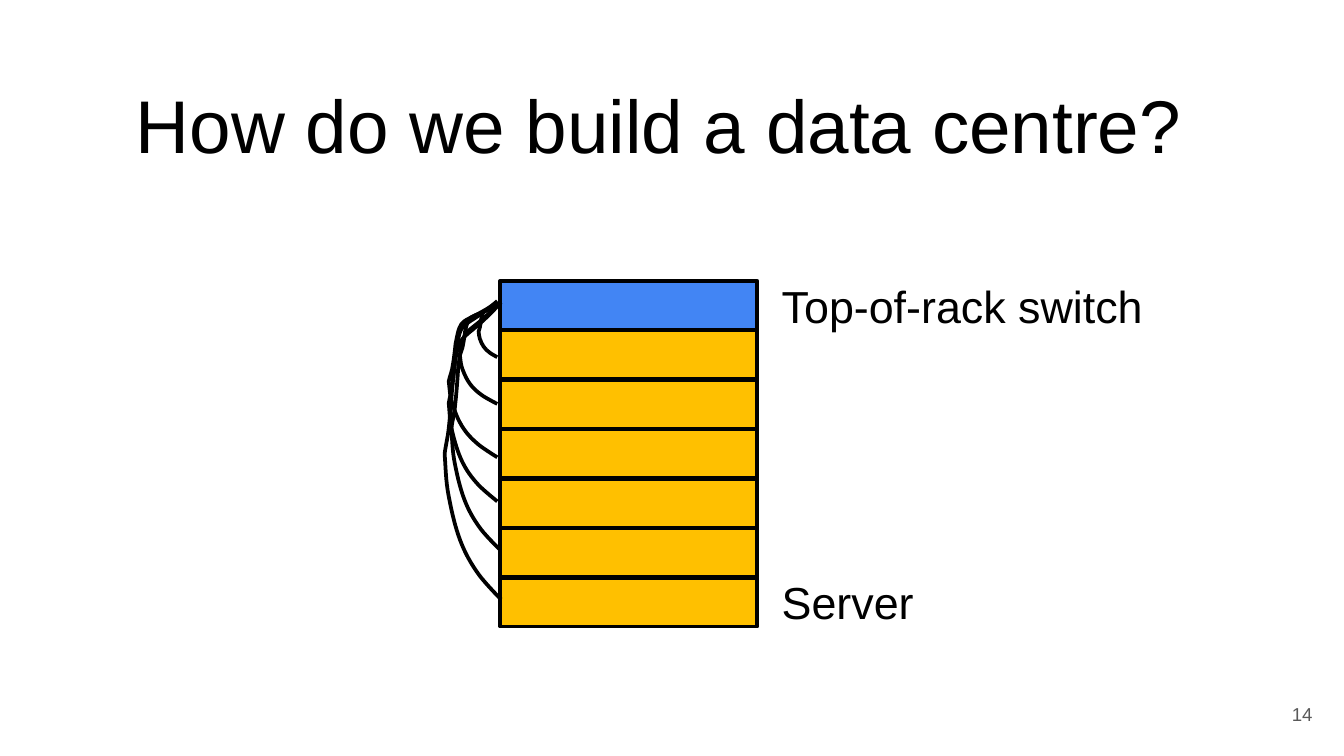
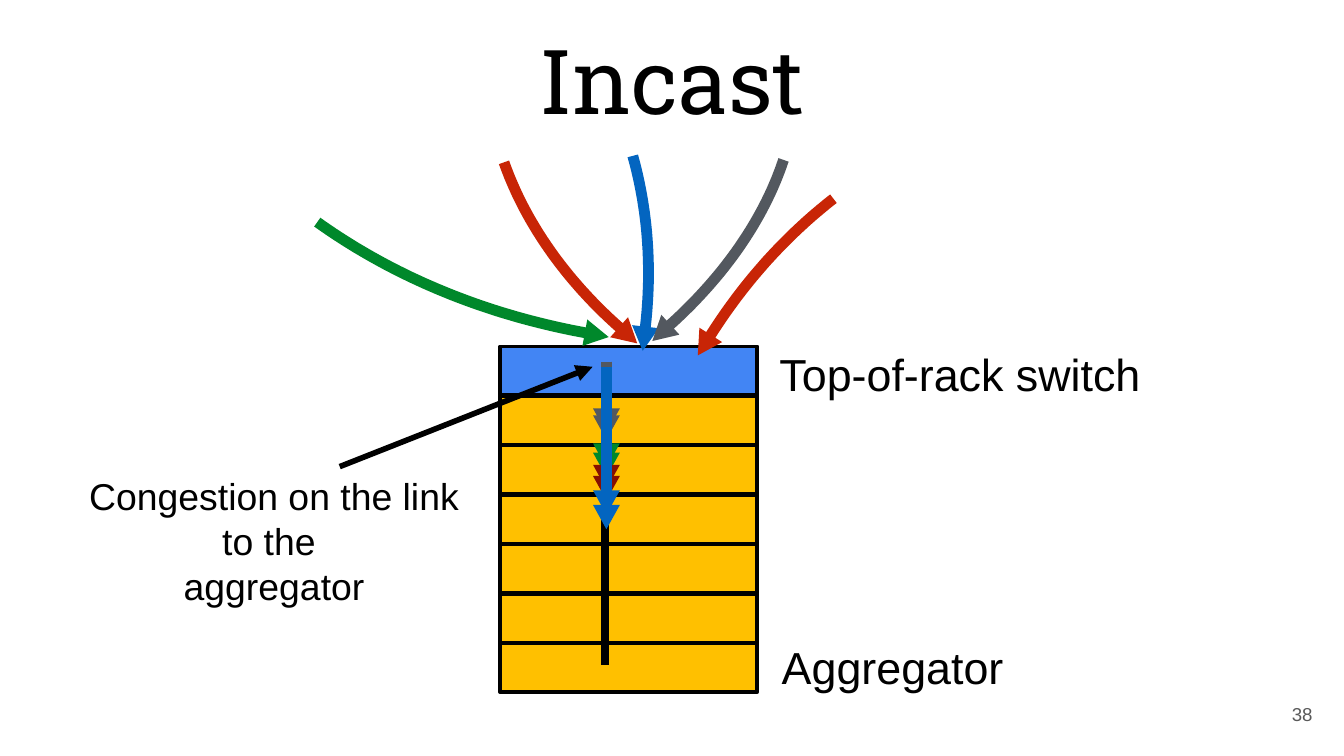
from math import hypot

from lxml import etree
from pptx import Presentation
from pptx.dml.color import RGBColor
from pptx.enum.shapes import MSO_CONNECTOR, MSO_SHAPE
from pptx.enum.text import MSO_ANCHOR, MSO_AUTO_SIZE, PP_ALIGN
from pptx.oxml.ns import qn
from pptx.util import Pt

STRAIGHT = MSO_CONNECTOR.STRAIGHT
RECTANGLE = MSO_SHAPE.RECTANGLE
TOP, MIDDLE = MSO_ANCHOR.TOP, MSO_ANCHOR.MIDDLE
LEFT, CENTER, RIGHT = PP_ALIGN.LEFT, PP_ALIGN.CENTER, PP_ALIGN.RIGHT
NO_AUTOFIT, GROW = MSO_AUTO_SIZE.NONE, MSO_AUTO_SIZE.SHAPE_TO_FIT_TEXT

BLACK, NUMBER_GREY = "000000", "595959"
SWITCH_BLUE, SERVER_YELLOW = "4285F4", "FFC000"
GREEN, RED, DARK_RED, GREY, BLUE = "00882B", "C82506", "861001", "53585F", "0365C0"

SLIDE_SIZE = (720, 405)
TITLE_ONLY = 5
NUMBER_BOX = (667.2, 367, 43, 31)
RACK_LEFT, UNIT_WIDTH, UNIT_HEIGHT, UNIT_PITCH = 268, 137.7, 26.2, 26.5
SERVER_COUNT = 6
FLOW_WIDTH, HEAD_BACK, HEAD_REACH, HEAD_HALF = 5.77, 1.5, 11.5, 7.2
ARC_STEPS = 40

SLIDES = [
    {
        "title": ("How do we build a data centre?", "Arial", 40, (10, 35.2, 685.5, 73.5)),
        "number": "14",
        "rack_top": 150.5,
        "labels": [
            ("Server", (411.7, 304.5, 86, 36), False),
            ("Top-of-rack switch", (411.7, 145.8, 249, 36), True),
        ],
    },
    {
        "title": ("Incast", "Roboto Slab", 48, (25.6, 6.2, 669, 102)),
        "number": "38",
        "rack_top": 185.6,
        "labels": [
            ("Aggregator", (411.7, 339, 135, 36), False),
            ("Top-of-rack switch", (410.5, 182, 249, 36), True),
        ],
    },
]

CABLE_KNOTS = [
    (1, 0),
    (0.24, 0.16), (0.26, 0.07), (0.14, 0.27),
    (0.12, 0.33), (0.1, 0.38), (0.07, 0.43),
    (0.05, 0.46), (0.02, 0.48), (0, 0.51),
    (0.02, 0.56), (0.02, 0.6), (0.07, 0.65),
    (0.19, 0.77), (0.31, 0.84), (0.62, 0.92),
    (0.74, 0.95), (1, 1), (1, 1),
]
CABLES = [
    (266.4, 163.4, 10, 28),
    (266.4, 163.4, 20, 53),
    (266.4, 162, 26, 83),
    (266.4, 161.3, 26, 107.3),
    (267.8, 162, 26, 132.5),
    (268.4, 162, 30.2, 159.1),
]

LINK = ((324, 201), (324, 356.5))
QUEUE_X = 324.9
QUEUED_FLOWS = [
    (GREEN, 224, 244),
    (DARK_RED, 224, 256.5),
    (GREY, 193.7, 224),
    (BLUE, 239, 272),
    (GREEN, 220.3, 239),
    (DARK_RED, 220.3, 250.5),
    (GREY, 193.7, 220.3),
    (BLUE, 196.6, 264.2),
]
INCOMING_FLOWS = [
    (GREEN, (170, 119), (245.5, 137.5), (314.8, 178.5)),
    (RED, (270, 87), (312.3, 126.7), (332.8, 176.3)),
    (BLUE, (339, 83.5), (336.7, 130.3), (345.6, 176.5)),
    (GREY, (419.8, 85.7), (375.8, 123), (358, 175)),
    (RED, (446.5, 106.5), (418.3, 145.5), (380, 180.7)),
]
POINTER = ((182, 250), (317.5, 196.5))
CAPTION_LINES = ["Congestion on the link to the ", "aggregator"]
CAPTION_BOX = (36.4, 250, 221, 80)


def colour(code):
    return RGBColor.from_string(code)


def points(values):
    return [Pt(value) for value in values]


def write(para, lines, font, size, code, align):
    para.alignment = align
    for index, line in enumerate(lines):
        if index:
            para.add_line_break()
        span = para.add_run()
        span.text = line
        span.font.name = font
        span.font.size = Pt(size)
        span.font.color.rgb = colour(code)


def add_text(page, lines, place, size, align=LEFT, wrap=True):
    box = page.shapes.add_textbox(*points(place))
    frame = box.text_frame
    frame.word_wrap = wrap
    frame.auto_size = GROW
    write(frame.paragraphs[0], lines, "Arial", size, BLACK, align)


def add_number(page, text):
    frame = page.shapes.add_textbox(*points(NUMBER_BOX)).text_frame
    frame.word_wrap = True
    frame.vertical_anchor = MIDDLE
    frame.margin_top = frame.margin_bottom = Pt(7.2)
    write(frame.paragraphs[0], [text], "Arial", 10, NUMBER_GREY, RIGHT)


def add_title(page, text, font, size, place):
    box = page.shapes.title
    box.left, box.top, box.width, box.height = points(place)
    frame = box.text_frame
    frame.auto_size = NO_AUTOFIT
    frame.vertical_anchor = TOP
    frame.margin_left = frame.margin_right = Pt(7.2)
    frame.margin_top = frame.margin_bottom = Pt(7.2)
    write(frame.paragraphs[0], [text], font, size, BLACK, CENTER)


def set_line(shape, code, width):
    shape.line.color.rgb = colour(code)
    shape.line.width = Pt(width)


def set_fill(shape, code):
    shape.fill.solid()
    shape.fill.fore_color.rgb = colour(code)


def add_line(page, start, end, code, width, arrow=False):
    line = page.shapes.add_connector(STRAIGHT, *points(start + end))
    set_line(line, code, width)
    properties = line._element.spPr
    if arrow:
        stroke = properties.find(qn("a:ln"))
        etree.SubElement(stroke, qn("a:tailEnd"), type="triangle")
    etree.SubElement(properties, qn("a:effectLst"))


def add_outline(page, corners, close):
    builder = page.shapes.build_freeform(*points(corners[0]))
    builder.add_line_segments([points(corner) for corner in corners[1:]], close=close)
    shape = builder.convert_to_shape()
    shape.shadow.inherit = False
    return shape


def add_curve(page, corners, code, width):
    curve = add_outline(page, corners, False)
    curve.fill.background()
    set_line(curve, code, width)
    return curve


def bend(curve):
    segments = list(curve._element.iter(qn("a:lnTo")))
    for first in range(0, len(segments), 3):
        bezier = etree.Element(qn("a:cubicBezTo"))
        segments[first].addprevious(bezier)
        for segment in segments[first:first + 3]:
            bezier.append(segment[0])
            segment.getparent().remove(segment)


def add_head(page, before, end, code):
    length = hypot(end[0] - before[0], end[1] - before[1])
    along_x, along_y = (end[0] - before[0]) / length, (end[1] - before[1]) / length

    def offset(forward, side):
        return (end[0] + forward * along_x - side * along_y,
                end[1] + forward * along_y + side * along_x)

    corners = [offset(-HEAD_BACK, -HEAD_HALF), offset(-HEAD_BACK, HEAD_HALF), offset(HEAD_REACH, 0)]
    head = add_outline(page, corners, True)
    set_fill(head, code)
    head.line.fill.background()


def arc(*stops):
    start, middle, end = (complex(*stop) for stop in stops)
    ratio = (end - start) / (middle - start)
    center = start + (middle - start) * (ratio - abs(ratio) ** 2) / (-2j * ratio.imag)
    sweep = (end - center) / (start - center)
    spots = [center + (start - center) * sweep ** (step / ARC_STEPS) for step in range(ARC_STEPS + 1)]
    return [(spot.real, spot.imag) for spot in spots]


def add_rack(page, top):
    for row in range(SERVER_COUNT, -1, -1):
        place = (RACK_LEFT, top + row * UNIT_PITCH, UNIT_WIDTH, UNIT_HEIGHT)
        unit = page.shapes.add_shape(RECTANGLE, *points(place))
        unit.shadow.inherit = False
        set_fill(unit, SERVER_YELLOW if row else SWITCH_BLUE)
        set_line(unit, BLACK, 2)


def add_cables(page):
    for right, top, width, height in CABLES:
        corners = [(right - width + x * width, top + y * height) for x, y in CABLE_KNOTS]
        bend(add_curve(page, corners, BLACK, 2))


def add_flows(page):
    add_line(page, *LINK, BLACK, 4.5)
    for code, top, bottom in QUEUED_FLOWS:
        start, end = (QUEUE_X, top), (QUEUE_X, bottom)
        add_line(page, start, end, code, FLOW_WIDTH)
        add_head(page, start, end, code)
    for code, start, middle, end in INCOMING_FLOWS:
        corners = arc(start, middle, end)
        add_curve(page, corners, code, FLOW_WIDTH)
        add_head(page, corners[-2], end, code)
    add_line(page, *POINTER, BLACK, 3, arrow=True)
    add_text(page, CAPTION_LINES, CAPTION_BOX, 20, CENTER)


def add_page(deck, content):
    page = deck.slides.add_slide(deck.slide_layouts[TITLE_ONLY])
    add_title(page, *content["title"])
    add_number(page, content["number"])
    for text, place, wrap in content["labels"]:
        add_text(page, [text], place, 24, wrap=wrap)
    add_rack(page, content["rack_top"])
    return page


def main():
    deck = Presentation()
    deck.slide_width, deck.slide_height = points(SLIDE_SIZE)
    for content, add_drawing in zip(SLIDES, (add_cables, add_flows)):
        add_drawing(add_page(deck, content))
    deck.save("out.pptx")


if __name__ == "__main__":
    main()
